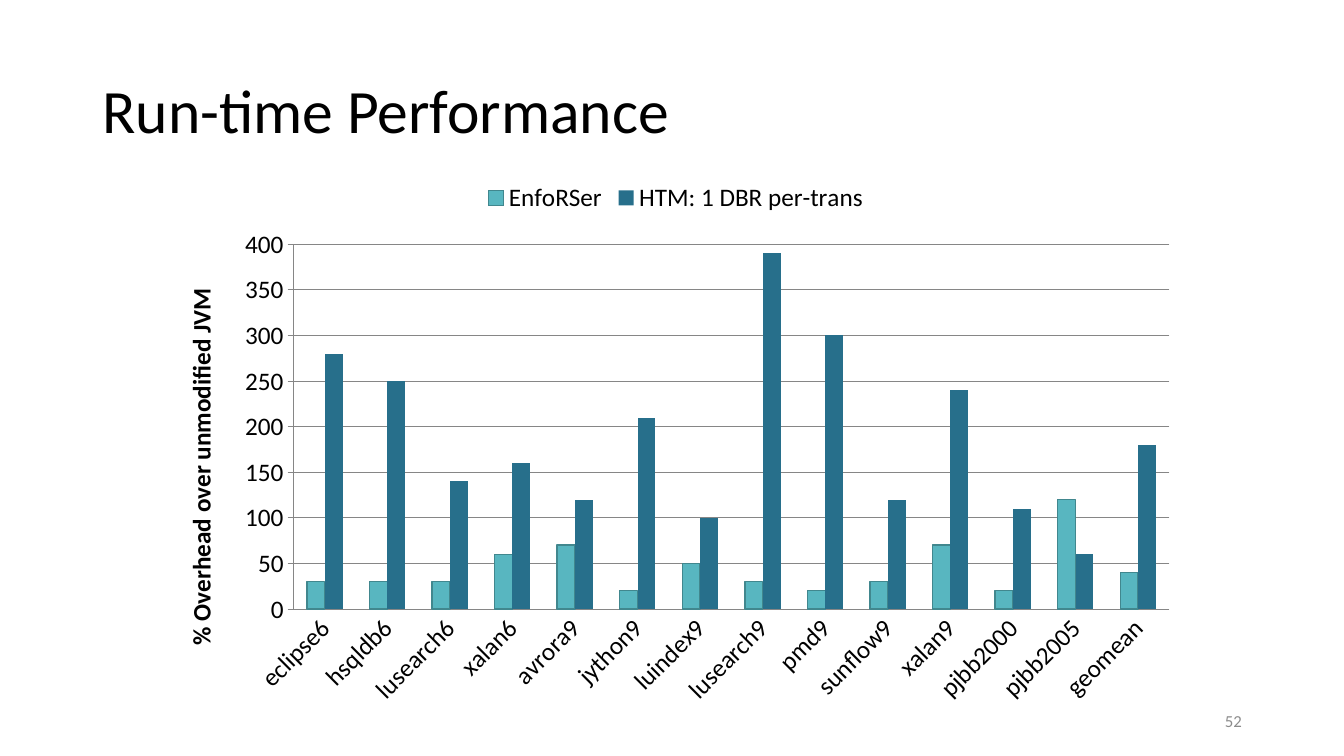
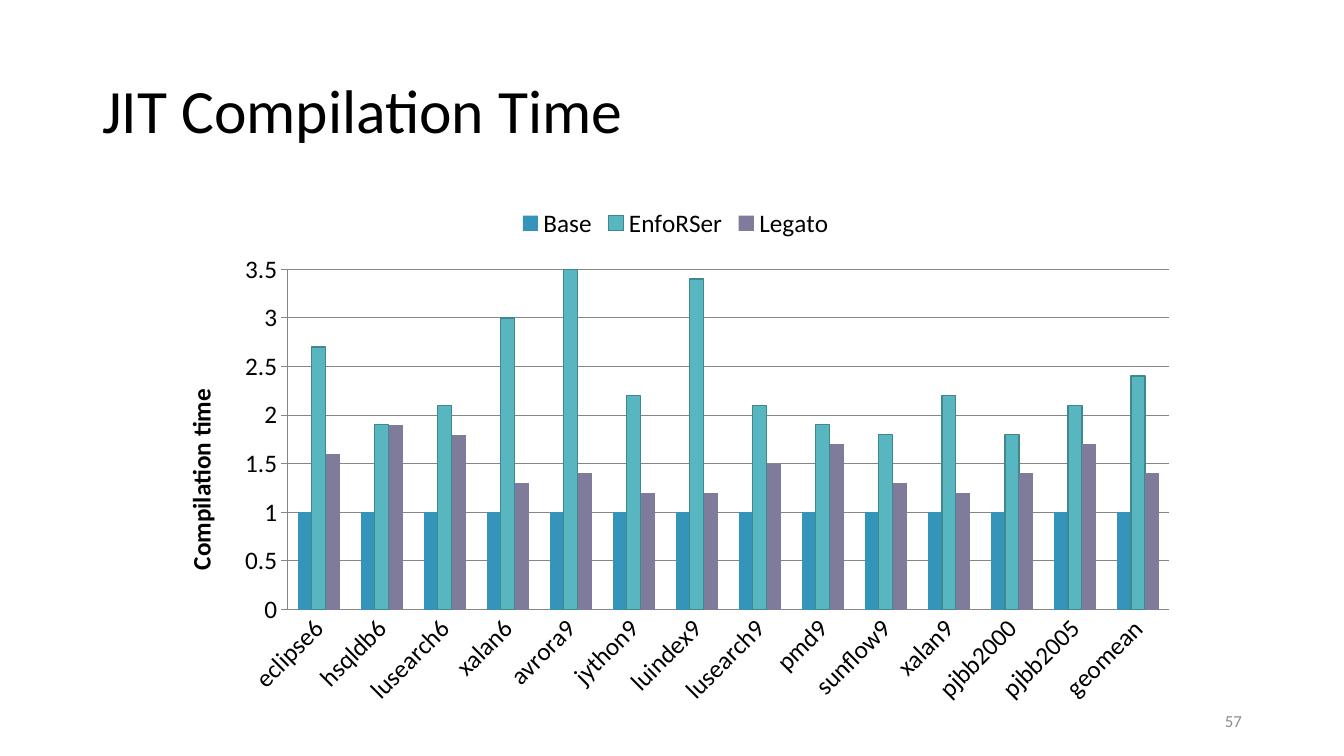
import pptx
import pptx.chart.data
import pptx.dml.color
import pptx.enum.chart
import pptx.enum.text
import pptx.util

Cm = pptx.util.Cm
Pt = pptx.util.Pt

BENCHMARKS = ["eclipse6", "hsqldb6", "lusearch6", "xalan6", "avrora9", "jython9", "luindex9",
              "lusearch9", "pmd9", "sunflow9", "xalan9", "pjbb2000", "pjbb2005", "geomean"]

# Fill and outline of each series, by name
SERIES_COLORS = {
    "EnfoRSer": ("58B6C0", "41878E"),
    "HTM: 1 DBR per-trans": ("276F8B", None),
    "Base": ("3494BA", None),
    "Legato": ("7F7B9A", None),
}


def color(hex_string):
    return pptx.dml.color.RGBColor.from_string(hex_string)


def write(para, text, size=18, bold=False, ink="000000", font="Calibri", align=None, spacing=None):
    """Add formatted text to a paragraph."""
    span = para.add_run()
    span.text = text
    span.font.name = font
    span.font.size = Pt(size)
    span.font.bold = bold
    span.font.color.rgb = color(ink)
    if align is not None:
        para.alignment = align
    if spacing is not None:
        para.line_spacing = spacing


class Deck:
    FONT = "Calibri"
    INK = "000000"
    MUTED = "8C8C8C"
    RULE = "868686"
    CHART_BOTTOM = 18.03

    def __init__(self):
        self.file = pptx.Presentation()
        self.file.slide_width = Cm(33.87)
        self.file.slide_height = Cm(19.05)
        self.page = None

    def add_page(self, title, number):
        self.page = self.file.slides.add_slide(self.file.slide_layouts[6])
        self.add_text(title, 2.33, 1.01, 29.21, 3.68, size=44, spacing=0.9)
        self.add_text(str(number), 23.93, 17.65, 7.62, 1.02, size=12, ink=self.MUTED,
                      align=pptx.enum.text.PP_ALIGN.RIGHT)

    def add_text(self, text, left, top, width, height, **style):
        box = self.page.shapes.add_textbox(Cm(left), Cm(top), Cm(width), Cm(height))
        box.text_frame.word_wrap = True
        box.text_frame.vertical_anchor = pptx.enum.text.MSO_ANCHOR.MIDDLE
        write(box.text_frame.paragraphs[0], text, font=self.FONT, **style)

    def add_columns(self, top, axis_title, maximum, step, series):
        """Add a clustered column chart over the benchmarks."""
        data = pptx.chart.data.CategoryChartData()
        data.categories = BENCHMARKS
        for name, values in series.items():
            data.add_series(name, values)
        chart = self.page.shapes.add_chart(
            pptx.enum.chart.XL_CHART_TYPE.COLUMN_CLUSTERED, Cm(4.06), Cm(top),
            Cm(25.93), Cm(self.CHART_BOTTOM - top), data).chart
        chart.has_title = False
        chart.font.name = self.FONT
        chart.font.size = Pt(18)
        chart.font.color.rgb = color(self.INK)
        chart.has_legend = True
        chart.legend.position = pptx.enum.chart.XL_LEGEND_POSITION.TOP
        chart.legend.include_in_layout = False
        self.style_series(chart.plots[0])
        self.style_axes(chart, axis_title, maximum, step)

    def style_series(self, plot):
        plot.gap_width = 150
        plot.overlap = 0
        plot.vary_by_categories = False
        for series in plot.series:
            fill, outline = SERIES_COLORS[series.name]
            series.invert_if_negative = False
            series.format.fill.solid()
            series.format.fill.fore_color.rgb = color(fill)
            if outline:
                series.format.line.color.rgb = color(outline)
                series.format.line.width = Pt(1)
            else:
                series.format.line.fill.background()

    def style_axes(self, chart, title, maximum, step):
        marks = pptx.enum.chart.XL_TICK_MARK
        categories, values = chart.category_axis, chart.value_axis
        categories.major_tick_mark = marks.NONE
        values.major_tick_mark = marks.OUTSIDE
        values.minimum_scale = 0
        values.maximum_scale = maximum
        values.major_unit = step
        values.has_major_gridlines = True
        for item in (categories, values, values.major_gridlines):
            item.format.line.color.rgb = color(self.RULE)
            item.format.line.width = Pt(0.75)
        for axis in (categories, values):
            axis.tick_labels.font.size = Pt(18)
        write(values.axis_title.text_frame.paragraphs[0], title, bold=True, font=self.FONT)
        self.rotate(chart, "c:catAx/c:txPr", -45)
        self.rotate(chart, "c:valAx/c:title/c:tx/c:rich", -90)

    def rotate(self, chart, text_body, degrees):
        for body in chart.element.xpath(f".//{text_body}/a:bodyPr"):
            body.set("rot", str(degrees * 60000))
            body.set("vert", "horz")


def main():
    deck = Deck()

    deck.add_page("Run-time Performance", 52)
    deck.add_columns(4.29, "% Overhead over unmodified JVM", 400, 50, {
        "EnfoRSer": [30, 30, 30, 60, 70, 20, 50, 30, 20, 30, 70, 20, 120, 40],
        "HTM: 1 DBR per-trans": [280, 250, 140, 160, 120, 210, 100, 390, 300, 120, 240, 110, 60, 180],
    })

    deck.add_page("JIT Compilation Time", 57)
    deck.add_columns(4.93, "Compilation time", 3.5, 0.5, {
        "Base": [1] * len(BENCHMARKS),
        "EnfoRSer": [2.7, 1.9, 2.1, 3, 5.4, 2.2, 3.4, 2.1, 1.9, 1.8, 2.2, 1.8, 2.1, 2.4],
        "Legato": [1.6, 1.9, 1.8, 1.3, 1.4, 1.2, 1.2, 1.5, 1.7, 1.3, 1.2, 1.4, 1.7, 1.4],
    })

    deck.file.save("out.pptx")


if __name__ == "__main__":
    main()
